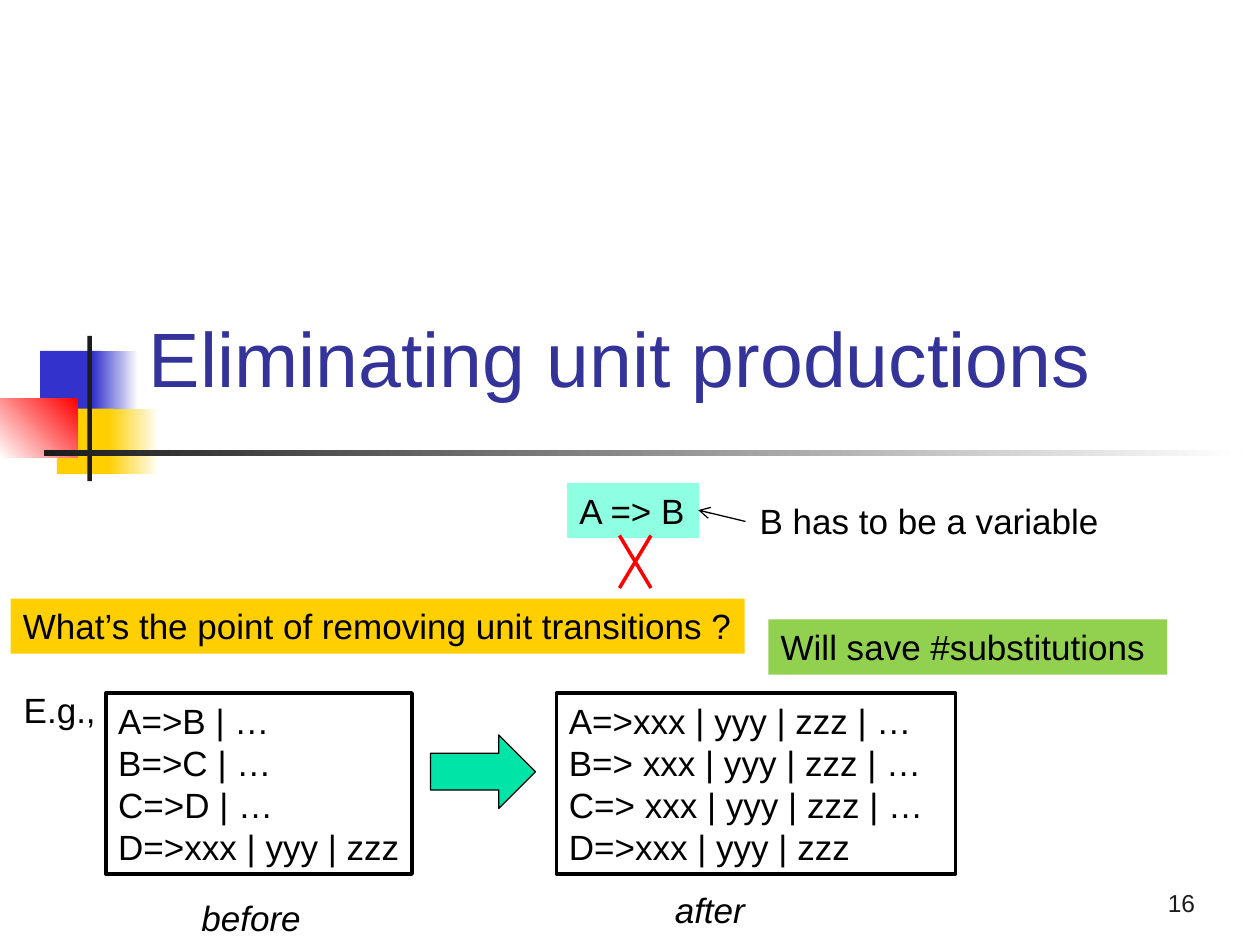
from pptx import Presentation
from pptx.dml.color import RGBColor
from pptx.enum.shapes import MSO_CONNECTOR, MSO_SHAPE
from pptx.enum.text import MSO_ANCHOR, PP_ALIGN
from pptx.oxml import parse_xml
from pptx.oxml.ns import nsdecls
from pptx.util import Pt

RECTANGLE = MSO_SHAPE.RECTANGLE
RIGHT_ARROW = MSO_SHAPE.RIGHT_ARROW
STRAIGHT = MSO_CONNECTOR.STRAIGHT
TOP, BOTTOM = MSO_ANCHOR.TOP, MSO_ANCHOR.BOTTOM
LEFT, RIGHT = PP_ALIGN.LEFT, PP_ALIGN.RIGHT

BLACK = RGBColor(0x00, 0x00, 0x00)
CHARCOAL = RGBColor(0x1C, 0x1C, 0x1C)
WHITE = RGBColor(0xFF, 0xFF, 0xFF)
BLUE = RGBColor(0x33, 0x33, 0xCC)
TITLE_BLUE = RGBColor(0x33, 0x33, 0x99)
YELLOW = RGBColor(0xFF, 0xCF, 0x01)
RED = RGBColor(0xFF, 0x00, 0x00)
AQUA = RGBColor(0x8E, 0xFF, 0xE1)
TEAL = RGBColor(0x00, 0xE4, 0xA8)
GREEN = RGBColor(0x92, 0xD0, 0x50)

presentation = Presentation()
presentation.slide_width, presentation.slide_height = Pt(720), Pt(540)
slide = presentation.slides.add_slide(presentation.slide_layouts[6])


def add_block(bounds, colors, angle=0, kind=RECTANGLE, line_width=None):
    """Add a shape; one colour fills it solid, two fill it as a gradient."""
    shape = slide.shapes.add_shape(kind, *map(Pt, bounds))
    shape.shadow.inherit = False
    if len(colors) == 1:
        shape.fill.solid()
        shape.fill.fore_color.rgb = colors[0]
    else:
        shape.fill.gradient()
        shape.fill.gradient_angle = angle
        for stop, color in zip(shape.fill.gradient_stops, colors):
            stop.color.rgb = color
    if line_width:
        shape.line.color.rgb = BLACK
        shape.line.width = Pt(line_width)
    else:
        shape.line.fill.background()
    return shape


def add_text(text, bounds, fill=None, line_width=None, size=20, color=BLACK,
             italic=False, wrap=False, align=LEFT, anchor=TOP):
    if fill is None:
        shape = slide.shapes.add_textbox(*map(Pt, bounds))
    else:
        shape = add_block(bounds, [fill], line_width=line_width)
    frame = shape.text_frame
    frame.word_wrap = wrap
    frame.vertical_anchor = anchor
    frame.text = text
    for paragraph in frame.paragraphs:
        paragraph.alignment = align
        paragraph.font.name = "Arial"
        paragraph.font.size = Pt(size)
        paragraph.font.italic = italic
        paragraph.font.color.rgb = color


# Corner decoration
add_block((23, 200.5, 35, 37.5), [BLUE])
add_block((53, 200.5, 26, 37.5), [BLUE, WHITE])
add_block((32.5, 233.5, 33, 37.5), [YELLOW])
add_block((62, 233.5, 29, 37.5), [YELLOW, WHITE])
add_block((0, 228, 44.5, 33.5), [WHITE, RED], angle=45)
add_block((50, 192, 2.5, 83), [CHARCOAL])
add_block((25, 257, 684, 3.6), [CHARCOAL, WHITE])

add_text("16", (540, 492, 150, 36), size=14, color=CHARCOAL, wrap=True,
         align=RIGHT, anchor=BOTTOM)
add_text("Eliminating unit productions", (78, 144, 612, 90), size=44,
         color=TITLE_BLUE, wrap=True, anchor=BOTTOM)

# Unit production, crossed out, with its note
add_text("A => B", (324, 276, 75.5, 31.5), fill=AQUA)
for start, end, color, width in (
    ((354, 306), (372, 336), RED, 2),
    ((372, 306), (354, 336), RED, 2),
    ((426, 298), (399, 291.5), BLACK, 0.75),
):
    connector = slide.shapes.add_connector(STRAIGHT, *map(Pt, start + end))
    connector.line.color.rgb = color
    connector.line.width = Pt(width)
    connector._element.spPr.append(parse_xml(f"<a:effectLst {nsdecls('a')}/>"))
note_pointer = connector
note_pointer.line._get_or_add_ln().append(
    parse_xml(f'<a:tailEnd {nsdecls("a")} type="arrow"/>'))
add_text("B has to be a variable", (427, 282, 212, 31.5), wrap=True)

add_text("What’s the point of removing unit transitions ?",
         (6, 342, 419.5, 31.5), fill=YELLOW)

# Grammar before and after
add_text("A=>B | …\nB=>C | …\nC=>D | …\nD=>xxx | yyy | zzz",
         (60.5, 396, 175, 103.5), fill=WHITE, line_width=2)
add_block((246, 420, 60, 42), [TEAL], kind=RIGHT_ARROW, line_width=0.75)
add_text("A=>xxx | yyy | zzz | …\nB=> xxx | yyy | zzz | …\n"
         "C=> xxx | yyy | zzz | …\nD=>xxx | yyy | zzz",
         (318, 396, 228, 103.5), fill=WHITE, line_width=2, wrap=True)
add_text("Will save #substitutions", (439, 354, 228, 31.5), fill=GREEN, wrap=True)
add_text("E.g.,", (6.5, 390, 64, 31.5), wrap=True)
add_text("before", (108, 508.5, 76, 31.5), italic=True, wrap=True)
add_text("after", (378.5, 504, 60, 31.5), italic=True, wrap=True)

presentation.save("out.pptx")
